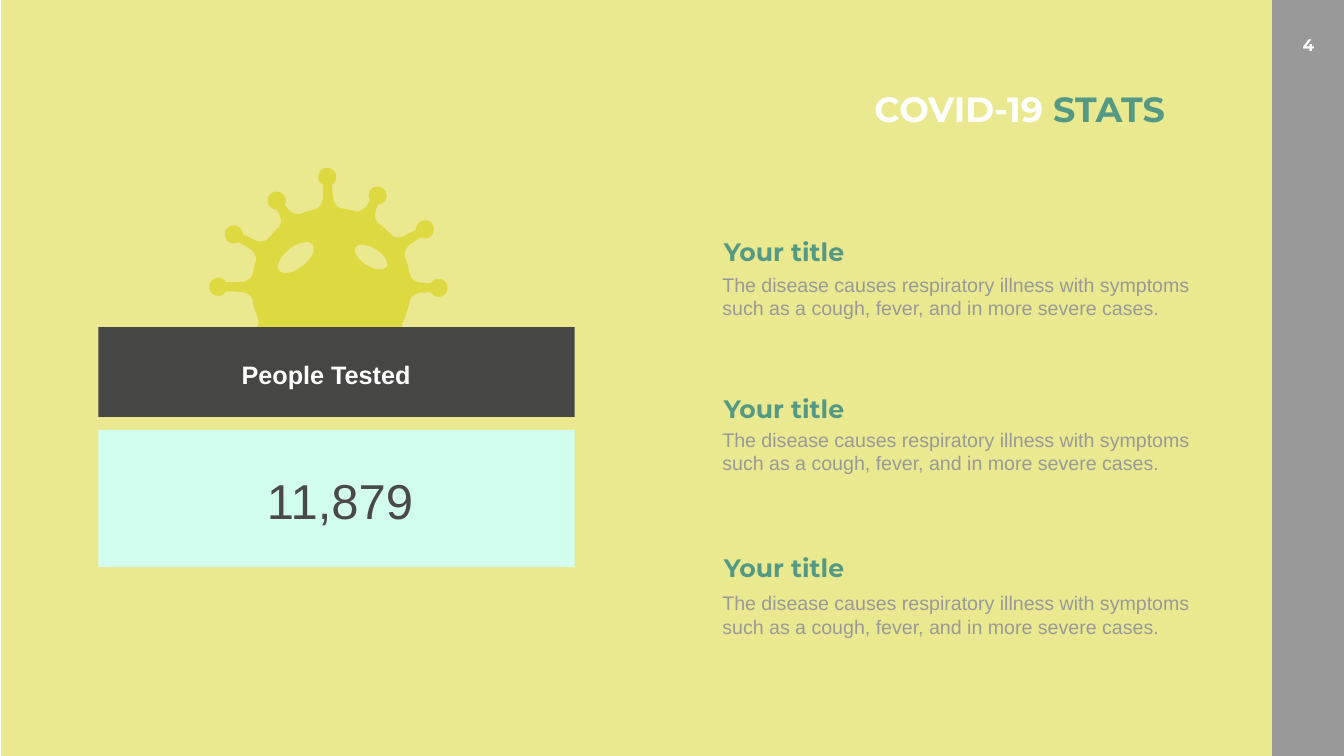
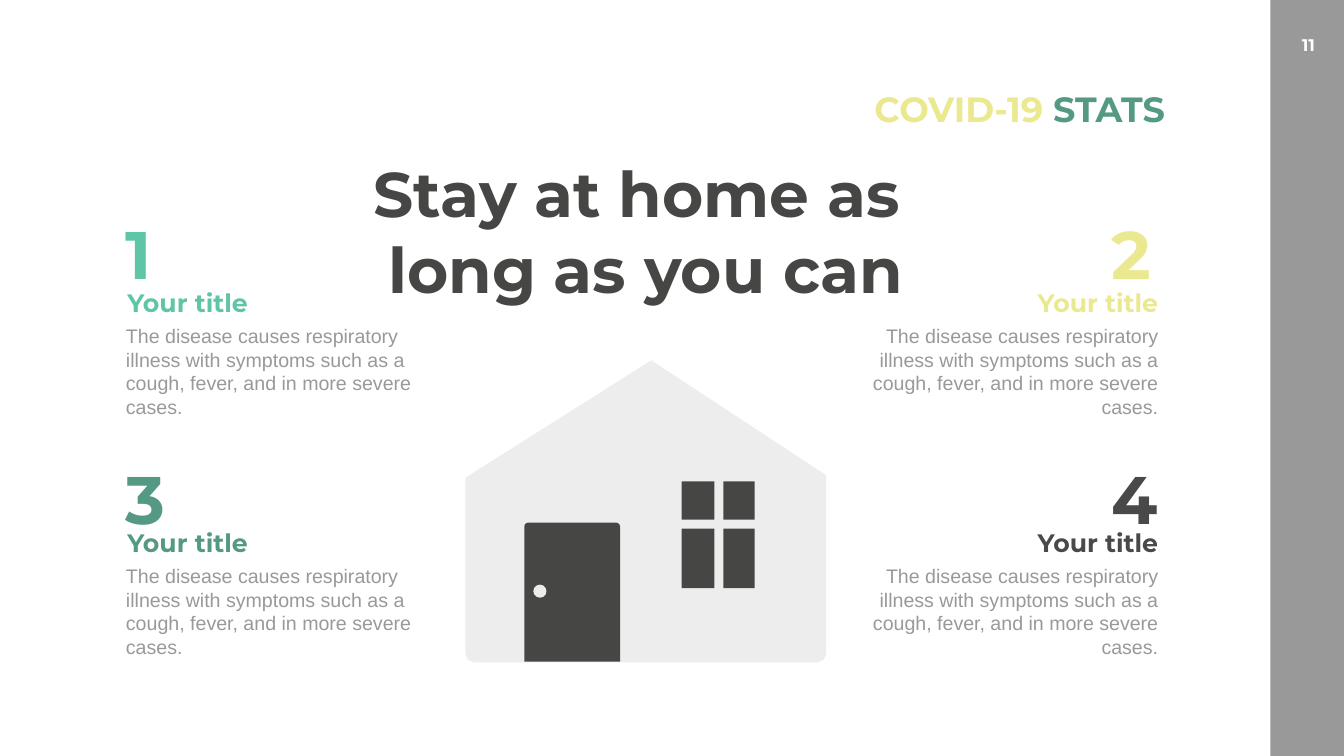
from math import atan2, cos, hypot, pi, sin

from pptx import Presentation
from pptx.dml.color import RGBColor
from pptx.enum.shapes import MSO_SHAPE
from pptx.enum.text import MSO_ANCHOR, MSO_AUTO_SIZE, PP_ALIGN
from pptx.util import Inches, Pt

WHITE = RGBColor(0xFF, 0xFF, 0xFF)
GRAY = RGBColor(0x99, 0x99, 0x99)
LIGHT_GRAY = RGBColor(0xED, 0xED, 0xED)
DARK = RGBColor(0x46, 0x47, 0x45)
CHARCOAL = RGBColor(0x49, 0x49, 0x49)
YELLOW = RGBColor(0xEB, 0xE9, 0x90)
VIRUS_YELLOW = RGBColor(0xDD, 0xD9, 0x40)
GREEN = RGBColor(0x54, 0x99, 0x83)
MINT = RGBColor(0x5F, 0xC5, 0xA7)
PALE_MINT = RGBColor(0xD2, 0xFE, 0xF0)

HEADING = "Montserrat"
BODY = "Arial"
ITEM_TITLE = "Your title"
ITEM_TEXT = ("The disease causes respiratory illness with symptoms such as a cough, "
             "fever, and in more severe cases.")


def add_filled(slide, outline, color, left=0, top=0, width=0, height=0):
    """Add a preset shape, or a freeform when the outline is a list of points."""
    if isinstance(outline, list):
        points = [(Inches(x), Inches(y)) for x, y in outline]
        builder = slide.shapes.build_freeform(*points[0])
        builder.add_line_segments(points[1:], close=True)
        shape = builder.convert_to_shape()
    else:
        shape = slide.shapes.add_shape(
            outline, Inches(left), Inches(top), Inches(width), Inches(height))
    shape.shadow.inherit = False
    shape.fill.solid()
    shape.fill.fore_color.rgb = color
    shape.line.fill.background()
    return shape


def add_text(slide, text, left, top, width, height, size, color, font=HEADING,
             bold=True, align=PP_ALIGN.LEFT, wrap=True):
    box = slide.shapes.add_textbox(
        Inches(left), Inches(top), Inches(width), Inches(height))
    box.text_frame.word_wrap = wrap
    box.text_frame.text = text
    for paragraph in box.text_frame.paragraphs:
        paragraph.alignment = align
        paragraph.font.name = font
        paragraph.font.size = Pt(size)
        paragraph.font.bold = bold
        paragraph.font.color.rgb = color


presentation = Presentation()
presentation.slide_width = Inches(26.66)
presentation.slide_height = Inches(15)

# Shared side band, page number and title
slides = []
for number, title_color in (("4", WHITE), ("11", YELLOW)):
    slide = presentation.slides.add_slide(presentation.slide_layouts[5])
    slides.append(slide)
    add_filled(slide, MSO_SHAPE.RECTANGLE, GRAY, 25.2, 0, 1.46, 15)
    add_text(slide, number, 25.44, 0.64, 1.03, 0.51, 24, WHITE,
             align=PP_ALIGN.CENTER, wrap=False)
    if title_color == WHITE:
        add_filled(slide, MSO_SHAPE.RECTANGLE, YELLOW, 0.02, 0, 25.21, 15)

    # The title goes in front of the coloured panel
    title = slide.shapes.title
    title.element.getparent().append(title.element)
    title.left, title.top = Inches(17.08), Inches(1.69)
    title.width, title.height = Inches(6.13), Inches(0.94)
    frame = title.text_frame
    frame.word_wrap = False
    frame.auto_size = MSO_AUTO_SIZE.NONE
    frame.vertical_anchor = MSO_ANCHOR.TOP
    paragraph = frame.paragraphs[0]
    paragraph.alignment = PP_ALIGN.RIGHT
    for text, color in (("COVID-19 ", title_color), ("STATS", GREEN)):
        run = paragraph.add_run()
        run.text = text
        run.font.name = HEADING
        run.font.size = Pt(50)
        run.font.bold = True
        run.font.color.rgb = color

stats_slide, home_slide = slides

# Stats: text items
for title_top, text_top in ((4.63, 5.36), (7.75, 8.44), (10.91, 11.68)):
    add_text(stats_slide, ITEM_TITLE, 14.26, title_top, 5.35, 0.71, 36, GREEN)
    add_text(stats_slide, ITEM_TEXT, 14.23, text_top, 9.99, 1.04, 28, GRAY,
             font=BODY, bold=False)

# Stats: virus outline, a round body with a knobbed spike towards each point
center_x, center_y, body_radius, knob_radius = 6.57, 5.7, 1.58, 0.18
knobs = [(4.64, 4.65), (5.49, 3.98), (6.49, 3.51), (7.49, 3.88), (8.43, 4.55),
         (8.7, 5.71), (8.34, 6.98), (7.14, 7.7), (5.77, 7.74), (4.67, 6.93),
         (4.33, 5.69)]
angles = [atan2(y - center_y, x - center_x) for x, y in knobs]
virus = []
for index, (knob_x, knob_y) in enumerate(knobs):
    angle = angles[index]
    reach = hypot(knob_x - center_x, knob_y - center_y)
    side = [(1.56, 0.25), (1.6, 0.18), (1.67, 0.13), (1.76, 0.1), (reach - 0.15, 0.09)]
    turns = [pi * (step - 8) / 10 for step in range(17)]
    spike = [(along, -across) for along, across in side]
    spike += [(reach + knob_radius * cos(turn), knob_radius * sin(turn)) for turn in turns]
    spike += reversed(side)
    virus += [(center_x + along * cos(angle) - across * sin(angle),
               center_y + along * sin(angle) + across * cos(angle))
              for along, across in spike]
    gap = (angles[(index + 1) % len(angles)] - angle) % (2 * pi) - 0.36
    for step in range(5):
        arc = angle + 0.18 + gap * step / 4
        virus.append((center_x + body_radius * cos(arc), center_y + body_radius * sin(arc)))
add_filled(stats_slide, virus, VIRUS_YELLOW)

for left, top, width, height, rotation in ((5.45, 4.9, 0.84, 0.42, -38),
                                           (7.0, 4.92, 0.72, 0.36, 32)):
    spot = add_filled(stats_slide, MSO_SHAPE.OVAL, YELLOW, left, top, width, height)
    spot.rotation = rotation

# Stats: counter
add_filled(stats_slide, MSO_SHAPE.RECTANGLE, PALE_MINT, 1.95, 8.53, 9.45, 2.72)
add_text(stats_slide, "11,879", 5.06, 9.29, 3.37, 1.28, 70, CHARCOAL, font=BODY,
         bold=False, align=PP_ALIGN.CENTER, wrap=False)
add_filled(stats_slide, MSO_SHAPE.RECTANGLE, DARK, 1.95, 6.49, 9.45, 1.78)
add_text(stats_slide, "People Tested", 4.67, 7.08, 3.6, 0.71, 36, WHITE, font=BODY,
         align=PP_ALIGN.CENTER, wrap=False)

# Home: headline
add_text(home_slide, "Stay at home as \nlong as you can", 7.22, 3.02, 11.17, 3.13, 90,
         DARK, align=PP_ALIGN.CENTER)

# Home: house with door, window and doorknob
house = [(12.92, 7.15), (16.39, 9.43), (16.39, 12.97), (16.34, 13.09), (16.22, 13.14),
         (9.4, 13.14), (9.28, 13.09), (9.23, 12.97), (9.23, 9.48)]
add_filled(home_slide, house, LIGHT_GRAY)
door = add_filled(home_slide, MSO_SHAPE.ROUND_2_SAME_RECTANGLE, DARK, 10.4, 10.37, 1.9, 2.76)
door.adjustments[0] = 0.04
add_filled(home_slide, MSO_SHAPE.RECTANGLE, DARK, 13.52, 9.55, 1.45, 2.12)
add_filled(home_slide, MSO_SHAPE.RECTANGLE, LIGHT_GRAY, 14.17, 9.47, 0.18, 2.25)
add_filled(home_slide, MSO_SHAPE.RECTANGLE, LIGHT_GRAY, 13.42, 10.31, 1.61, 0.18)
add_filled(home_slide, MSO_SHAPE.OVAL, LIGHT_GRAY, 10.58, 11.6, 0.26, 0.26)

# Home: numbered items, two rows of two
items = [("1", MINT, 0.73), ("2", YELLOW, 1), ("3", GREEN, 1), ("4", CHARCOAL, 1.13)]
columns = [(2.39, 2.43, 2.4, PP_ALIGN.LEFT), (21.95, 17.72, 16.55, PP_ALIGN.RIGHT)]
rows = [(4.17, 5.65, 6.38), (9.03, 10.41, 11.14)]
for index, (number, color, number_width) in enumerate(items):
    number_left, title_left, text_left, align = columns[index % 2]
    number_top, title_top, text_top = rows[index // 2]
    add_text(home_slide, ITEM_TITLE, title_left, title_top, 5.35, 0.71, 36, color,
             align=align)
    add_text(home_slide, ITEM_TEXT, text_left, text_top, 6.52, 1.99, 28, GRAY,
             font=BODY, bold=False, align=align)
    add_text(home_slide, number, number_left, number_top, number_width, 1.72, 96, color,
             wrap=False)

presentation.save("out.pptx")
